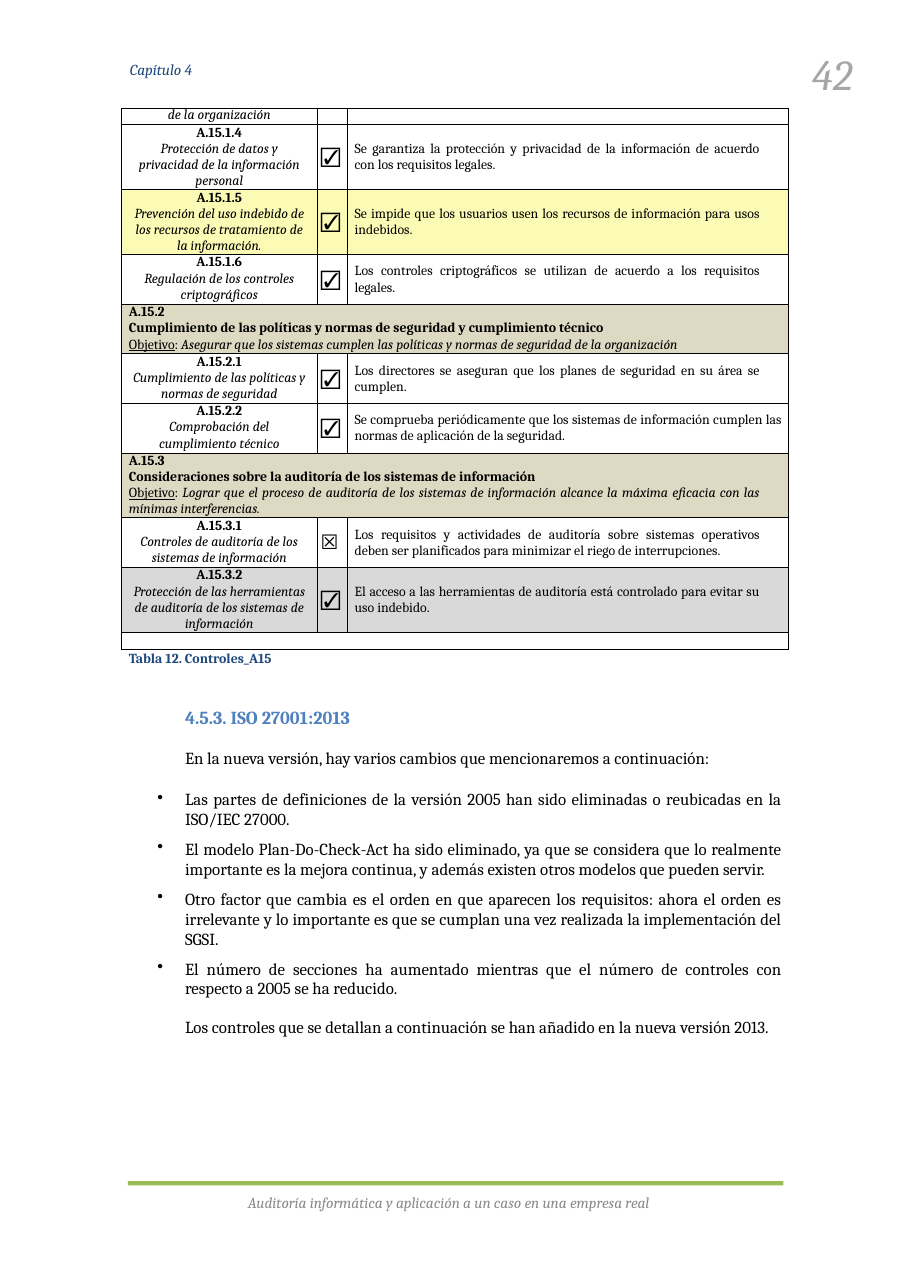
from lxml import etree
from pptx import Presentation
from pptx.dml.color import RGBColor
from pptx.enum.shapes import MSO_SHAPE
from pptx.enum.text import MSO_ANCHOR, PP_ALIGN
from pptx.oxml.ns import qn
from pptx.util import Inches, Pt

CENTER, JUSTIFY, LEFT = PP_ALIGN.CENTER, PP_ALIGN.JUSTIFY, PP_ALIGN.LEFT
MIDDLE, TOP = MSO_ANCHOR.MIDDLE, MSO_ANCHOR.TOP
RECTANGLE = MSO_SHAPE.RECTANGLE

BLACK = RGBColor(0x00, 0x00, 0x00)
NAVY = RGBColor(0x1F, 0x48, 0x7C)
BLUE = RGBColor(0x4F, 0x81, 0xBC)
GREEN = RGBColor(0x9B, 0xBA, 0x58)
PAGE_GRAY = RGBColor(0xA6, 0xA6, 0xA6)
FOOTER_GRAY = RGBColor(0x8B, 0x8B, 0x8B)
YELLOW = RGBColor(0xFB, 0xFB, 0xB6)
TAN = RGBColor(0xDD, 0xD9, 0xC3)
LIGHT_GRAY = RGBColor(0xD9, 0xD9, 0xD9)

SERIF = "Cambria"
COLUMN_WIDTHS = (1.78, 0.27, 4.01)

# Control: code, name, name inset, mark, description, right inset, fill
# Section: code, title, objective
TABLE_ROWS = [
    ("A.15.1.4", "Protección de datos y privacidad de la información personal", 0.14, "☑",
     "Se garantiza la protección y privacidad de la información de acuerdo con los "
     "requisitos legales.", 0.27, None),
    ("A.15.1.5", "Prevención del uso indebido de los recursos de tratamiento de la información.",
     0.09, "☑", "Se impide que los usuarios usen los recursos de información para usos "
     "indebidos.", 0.27, YELLOW),
    ("A.15.1.6", "Regulación de los controles criptográficos", 0.18, "☑",
     "Los controles criptográficos se utilizan de acuerdo a los requisitos legales.", 0.27, None),
    ("A.15.2", "Cumplimiento de las políticas y normas de seguridad y cumplimiento técnico",
     "Asegurar que los sistemas cumplen las políticas y normas de seguridad de la organización"),
    ("A.15.2.1", "Cumplimiento de las políticas y normas de seguridad", 0.08, "☑",
     "Los directores se aseguran que los planes de seguridad en su área se cumplen.", 0.27, None),
    ("A.15.2.2", "Comprobación del cumplimiento técnico", 0.31, "☑",
     "Se comprueba periódicamente que los sistemas de información cumplen las normas de "
     "aplicación de la seguridad.", 0.07, None),
    ("A.15.3", "Consideraciones sobre la auditoría de los sistemas de información",
     "Lograr que el proceso de auditoría de los sistemas de información alcance la máxima "
     "eficacia con las mínimas interferencias."),
    ("A.15.3.1", "Controles de auditoría de los sistemas de información", 0.15, "☒",
     "Los requisitos y actividades de auditoría sobre sistemas operativos deben ser "
     "planificados para minimizar el riego de interrupciones.", 0.27, None),
    ("A.15.3.2", "Protección de las herramientas de auditoría de los sistemas de información",
     0.08, "☑", "El acceso a las herramientas de auditoría está controlado para evitar su uso "
     "indebido.", 0.27, LIGHT_GRAY),
]
ROW_HEIGHTS = (0.15, 0.59, 0.59, 0.45, 0.45, 0.45, 0.45, 0.59, 0.45, 0.59, 0.15)

CHANGES = [
    "Las partes de definiciones de la versión 2005 han sido eliminadas o reubicadas en la "
    "ISO/IEC 27000.",
    "El modelo Plan-Do-Check-Act ha sido eliminado, ya que se considera que lo realmente "
    "importante es la mejora continua, y además existen otros modelos que pueden servir.",
    "Otro factor que cambia es el orden en que aparecen los requisitos: ahora el orden es "
    "irrelevante y lo importante es que se cumplan una vez realizada la implementación del SGSI.",
    "El número de secciones ha aumentado mientras que el número de controles con respecto a "
    "2005 se ha reducido.",
]


def set_font(font, size, color=BLACK, bold=False, italic=False, name=SERIF):
    font.name, font.size = name, Pt(size)
    font.bold, font.italic = bold, italic
    font.color.rgb = color


def next_paragraph(frame):
    """Return the empty first paragraph, or a new one after existing text."""
    first = frame.paragraphs[0]
    return frame.add_paragraph() if first.runs else first


def write(frame, text, size, align=LEFT, line=None, before=None, **style):
    paragraph = next_paragraph(frame)
    paragraph.text = text
    paragraph.alignment = align
    if line:
        paragraph.line_spacing = Pt(line)
    if before:
        paragraph.space_before = Pt(before)
    set_font(paragraph.font, size, **style)
    return paragraph


def add_text_box(slide, left, top, width, height, wrap=False):
    box = slide.shapes.add_textbox(Inches(left), Inches(top), Inches(width), Inches(height))
    frame = box.text_frame
    frame.margin_left = frame.margin_top = frame.margin_right = frame.margin_bottom = 0
    frame.word_wrap = wrap
    return frame


def indent(paragraph, left, first_line, bullet=None):
    properties = paragraph._p.get_or_add_pPr()
    properties.set("marL", str(Inches(left)))
    properties.set("indent", str(Inches(first_line)))
    if bullet:
        etree.SubElement(properties, qn("a:buChar")).set("char", bullet)


def format_cell(cell, fill=None, left=0, right=0, anchor=TOP):
    cell.margin_left, cell.margin_right = Inches(left), Inches(right)
    cell.margin_top = cell.margin_bottom = 0
    cell.vertical_anchor = anchor
    if fill is None:
        cell.fill.background()
    else:
        cell.fill.solid()
        cell.fill.fore_color.rgb = fill
    properties = cell._tc.get_or_add_tcPr()
    for position, side in enumerate(("lnL", "lnR", "lnT", "lnB")):
        border = etree.Element(qn(f"a:{side}"), w=str(Pt(0.5)))
        solid = etree.SubElement(border, qn("a:solidFill"))
        etree.SubElement(solid, qn("a:srgbClr"), val=str(BLACK))
        properties.insert(position, border)


def fill_control(cells, code, name, inset, mark, description, right, fill):
    name_cell, mark_cell, description_cell = cells
    format_cell(name_cell, fill, inset, inset)
    write(name_cell.text_frame, code, 9, CENTER, 10.4, bold=True)
    write(name_cell.text_frame, name, 9, CENTER, 10.6, italic=True)
    format_cell(mark_cell, fill, 0.03, anchor=MIDDLE)
    write(mark_cell.text_frame, mark, 13, name="Arial")
    format_cell(description_cell, fill, 0.07, right, MIDDLE)
    write(description_cell.text_frame, description, 9, JUSTIFY, 10.6)


def fill_section(cells, code, title, objective):
    first = cells[0]
    first.merge(cells[-1])
    for cell in cells:
        format_cell(cell, TAN, 0.07, 0.27)
    write(first.text_frame, code, 9, line=10.4, bold=True)
    write(first.text_frame, title, 9, line=10.6, bold=True)
    paragraph = first.text_frame.add_paragraph()
    paragraph.alignment, paragraph.line_spacing = JUSTIFY, Pt(10.6)
    for text, underline, italic in (("Objetivo", True, False), (": ", False, False),
                                    (objective, False, True)):
        run = paragraph.add_run()
        run.text = text
        set_font(run.font, 9, italic=italic)
        run.font.underline = underline


def add_controls_table(slide, left, top):
    shape = slide.shapes.add_table(
        len(ROW_HEIGHTS), len(COLUMN_WIDTHS), Inches(left), Inches(top),
        Inches(sum(COLUMN_WIDTHS)), Inches(sum(ROW_HEIGHTS)))
    table = shape.table
    table.first_row = table.horz_banding = False
    for column, width in zip(table.columns, COLUMN_WIDTHS):
        column.width = Inches(width)
    for row, height in zip(table.rows, ROW_HEIGHTS):
        row.height = Inches(height)
    rows = [list(row.cells) for row in table.rows]

    for cell in rows[0] + rows[-1]:
        format_cell(cell)
        write(cell.text_frame, "", 9, CENTER, 10.1)
    write(rows[0][0].text_frame, "de la organización", 9, CENTER, 10.1, italic=True)
    rows[-1][0].merge(rows[-1][-1])
    for cells, content in zip(rows[1:-1], TABLE_ROWS):
        fill_row = fill_section if len(content) == 3 else fill_control
        fill_row(cells, *content)


def add_body(slide, left, top, width, height):
    frame = add_text_box(slide, left, top, width, height, wrap=True)
    frame.margin_top = Inches(0.02)
    write(frame, "Tabla 12. Controles_A15", 9, color=NAVY, bold=True)
    heading = write(frame, "4.5.3. ISO 27001:2013", 12, before=26, color=BLUE, bold=True)
    intro = write(frame, "En la nueva versión, hay varios cambios que mencionaremos a "
                  "continuación:", 11, before=12.6)
    for paragraph in (heading, intro):
        indent(paragraph, 0.51, 0)
    for number, change in enumerate(CHANGES):
        paragraph = next_paragraph(frame)
        indent(paragraph, 0.51, -0.25, "•")
        paragraph.text = change
        paragraph.alignment, paragraph.line_spacing = JUSTIFY, Pt(13)
        paragraph.space_before = Pt(6.5 if number else 14)
        set_font(paragraph.font, 11)
    closing = write(frame, "Los controles que se detallan a continuación se han añadido en la "
                    "nueva versión 2013.", 11, line=13.1, before=12.4)
    indent(closing, 0.01, 0.5)


def add_header(slide):
    write(add_text_box(slide, 1.18, 0.55, 0.62, 0.2), "Capítulo 4", 10, color=NAVY, italic=True)
    write(add_text_box(slide, 7.37, 0.43, 0.44, 0.5), "42", 28, color=PAGE_GRAY, italic=True)


def add_footer(slide, left, top, width):
    rule = slide.shapes.add_shape(RECTANGLE, Inches(left), Inches(top), Inches(width), Inches(0.04))
    rule.shadow.inherit = False
    rule.fill.solid()
    rule.fill.fore_color.rgb = GREEN
    rule.line.fill.background()
    write(add_text_box(slide, left + 1.09, top + 0.11, 3.79, 0.19),
          "Auditoría informática y aplicación a un caso en una empresa real", 10,
          color=FOOTER_GRAY, italic=True)


def main():
    presentation = Presentation()
    presentation.slide_width, presentation.slide_height = Inches(8.26), Inches(11.69)
    slide = presentation.slides.add_slide(presentation.slide_layouts[6])
    add_header(slide)
    add_controls_table(slide, 1.1, 0.98)
    add_body(slide, 1.17, 5.88, 5.93, 3.88)
    add_footer(slide, 1.16, 10.72, 5.95)
    presentation.save("out.pptx")


if __name__ == "__main__":
    main()
